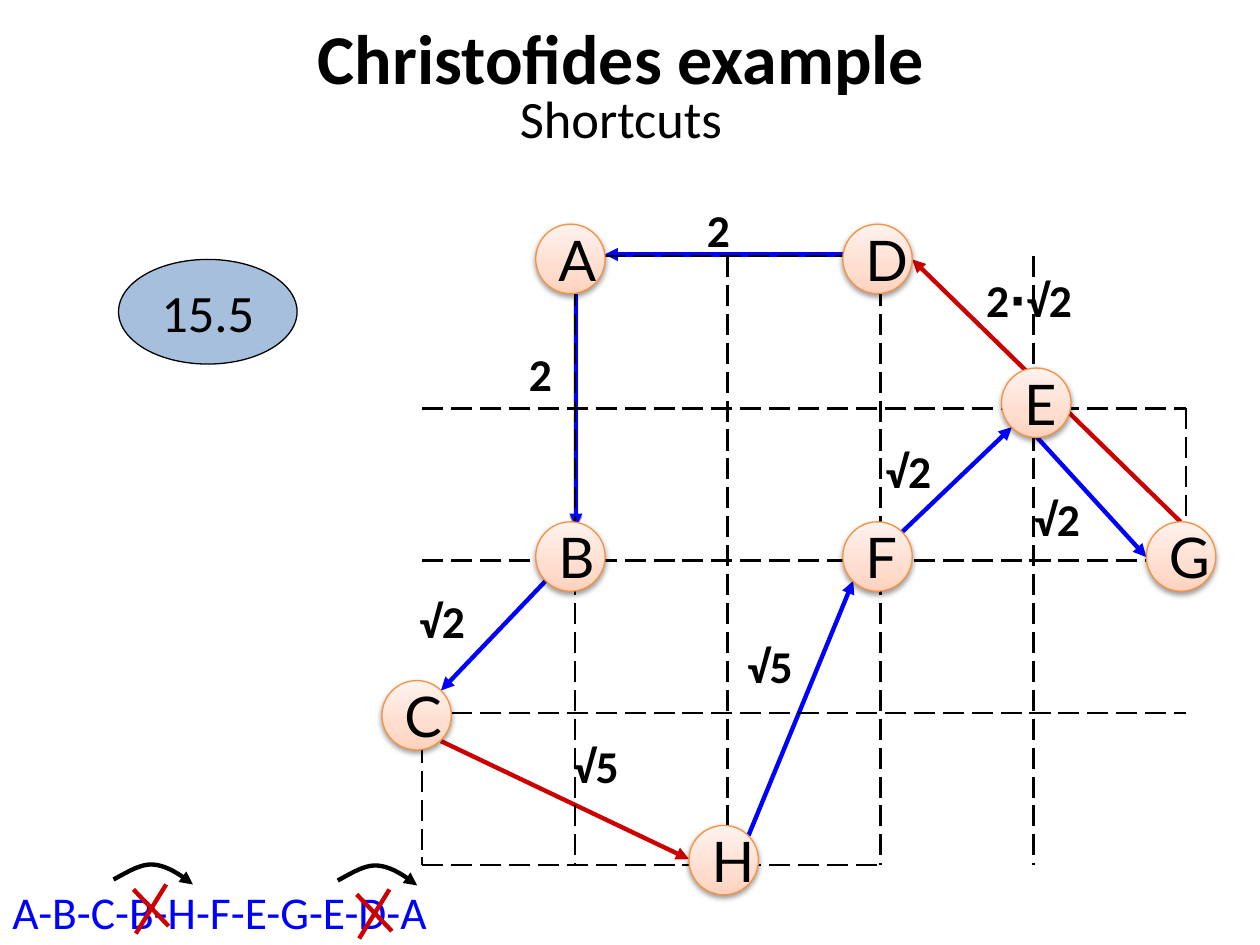
"""Build a slide showing the shortcut step of the Christofides algorithm."""
import copy
import dataclasses

import pptx
import pptx.dml.color
import pptx.enum.dml
import pptx.enum.shapes
import pptx.enum.text
import pptx.oxml
import pptx.oxml.ns
import pptx.util

Cm, Pt = pptx.util.Cm, pptx.util.Pt
RGB = pptx.dml.color.RGBColor.from_string
qn = pptx.oxml.ns.qn
NS = pptx.oxml.ns.nsdecls("a")
MSO_SHAPE = pptx.enum.shapes.MSO_SHAPE
PP_ALIGN = pptx.enum.text.PP_ALIGN
MSO_ANCHOR = pptx.enum.text.MSO_ANCHOR


@dataclasses.dataclass(frozen=True)
class Theme:
    ink: str = "000000"
    blue: str = "0000FF"
    red: str = "CC0000"
    badge: str = "4F81BD"
    node_line: str = "F69240"
    node_fill: tuple = ((0, "FFD2BD"), (0.35, "FFDED0"), (1, "FFF2ED"))
    font: str = "Calibri"
    node_font: str = "Lato"
    title: int = 40
    subtitle: int = 30
    node: int = 32
    label: int = 26


theme = Theme()
TAIL = f'<a:tailEnd {NS} type="triangle"/>'
SHADOW = (f'<a:outerShdw {NS} blurRad="%d" dist="20000" dir="5400000" rotWithShape="0">'
          '<a:srgbClr val="000000"><a:alpha val="38000"/></a:srgbClr></a:outerShdw>')

prs = pptx.Presentation()
prs.slide_width, prs.slide_height = Cm(25.4), Cm(19.05)
s = prs.slides.add_slide(prs.slide_layouts[6])


def add_line(start, end, color, width=2.5, dash=None, arrow=False):
    c = s.shapes.add_connector(pptx.enum.shapes.MSO_CONNECTOR.STRAIGHT,
                               *(Cm(v) for v in (*start, *end)))
    c.line.color.rgb = RGB(color)
    c.line.width = Pt(width)
    if dash:
        c.line.dash_style = dash
    if arrow:
        c.line._get_or_add_ln().append(pptx.oxml.parse_xml(TAIL))
    c._element.spPr.append(pptx.oxml.parse_xml(f"<a:effectLst {NS}/>"))
    return c


def add_label(text, x, y, w, color, bold):
    tf = s.shapes.add_textbox(Cm(x), Cm(y), Cm(w), Cm(1.35)).text_frame
    tf.word_wrap = False
    tf.auto_size = pptx.enum.text.MSO_AUTO_SIZE.SHAPE_TO_FIT_TEXT
    p = tf.paragraphs[0]
    p.text = text
    p.font.name, p.font.size, p.font.bold = theme.font, Pt(theme.label), bold
    p.font.color.rgb = RGB(color)


tour = [
    ((11.61, 5.92), (11.61, 10.62), theme.blue),
    ((11, 11.71), (8.89, 13.92), theme.blue),
    ((18.19, 10.72), (20.4, 8.61), theme.blue),
    ((20.9, 8.81), (23.11, 11.23), theme.blue),
    ((15.09, 16.84), (17.2, 11.71), theme.blue),
    ((8.89, 14.94), (13.89, 17.32), theme.red),
    ((23.8, 10.52), (18.39, 5.23), theme.red),
    ((16.99, 5.13), (12.19, 5.13), theme.blue),
]
edges = [add_line(*edge, arrow=True) for edge in tour]
edges[0]._element.spPr.find(qn("a:effectLst")).append(pptx.oxml.parse_xml(SHADOW % 0))

for text, x, y, w in [
    ("2", 10.41, 6.86, 1.09), ("√2", 8.2, 11.84, 1.6), ("√5", 11.3, 14.76, 1.6),
    ("√2", 20.6, 9.78, 1.6), ("√2", 17.6, 8.81, 1.6), ("√5", 14.81, 12.73, 1.6),
    ("2", 14, 3.94, 1.09), ("2∙√2", 19.63, 5.36, 2.46),
]:
    add_label(text, x, y, w, theme.ink, True)

badge = s.shapes.add_shape(MSO_SHAPE.OVAL, Cm(2.39), Cm(5.23), Cm(3.6), Cm(2.11))
badge.shadow.inherit = False
badge.fill.solid()
badge.fill.fore_color.rgb = RGB(theme.badge)
badge._element.spPr.find(".//" + qn("a:srgbClr")).append(
    pptx.oxml.parse_xml(f'<a:alpha {NS} val="50000"/>'))
badge.line.color.rgb = RGB(theme.ink)
badge.line.width = Pt(0.75)
badge.text_frame.word_wrap = False
badge.text_frame.vertical_anchor = MSO_ANCHOR.MIDDLE
p = badge.text_frame.paragraphs[0]
p.text = "15.5"
p.alignment = PP_ALIGN.CENTER
p.font.name, p.font.size = theme.font, Pt(theme.subtitle)
p.font.color.rgb = RGB(theme.ink)

tf = s.shapes.add_textbox(Cm(1.09), Cm(0.43), Cm(22.86), Cm(2.69)).text_frame
tf.word_wrap = True
tf.vertical_anchor = MSO_ANCHOR.BOTTOM
p = tf.paragraphs[0]
p.alignment = PP_ALIGN.CENTER
p.line_spacing = 0.8
p.font.name = theme.font
p.font.color.rgb = RGB(theme.ink)
r = p.add_run()
r.text = "Christofides example"
r.font.size, r.font.bold = Pt(theme.title), True
p.add_line_break()
r = p.add_run()
r.text = "Shortcuts"
r.font.size, r.font.bold = Pt(theme.subtitle), False
for r in p.runs:
    r.font.name = theme.font
    r.font.color.rgb = RGB(theme.ink)

add_label("A-B-C-B-H-F-E-G-E-D-A", 0, 17.7, 9.96, theme.blue, False)

curves = [((0, 0.33), (0.28, 0.18), (0.56, 0), (0.81, 0.03)),
          ((0.81, 0.03), (1.07, 0.05), (1.35, 0.23), (1.6, 0.43))]
steps = 10
arc = [tuple((1 - t) ** 3 * a + 3 * (1 - t) ** 2 * t * b + 3 * (1 - t) * t ** 2 * c + t ** 3 * d
             for a, b, c, d in zip(*curve))
       for curve in curves for t in (i / steps for i in range(1, steps + 1))]
for ax, ay, cx, cy in [(2.29, 17.4, 2.69, 17.83), (6.81, 17.42, 7.19, 17.93)]:
    builder = s.shapes.build_freeform(Cm(ax), Cm(ay + 0.33))
    builder.add_line_segments([(Cm(ax + x), Cm(ay + y)) for x, y in arc], close=False)
    hop = builder.convert_to_shape()
    hop.shadow.inherit = False
    hop.fill.background()
    hop.line.color.rgb = RGB(theme.ink)
    hop.line.width = Pt(2.5)
    hop.line._get_or_add_ln().append(pptx.oxml.parse_xml(TAIL))
    add_line((cx + 0.66, cy), (cx + 0.05, cy + 0.99), theme.red)
    add_line((cx, cy + 0.1), (cx + 0.71, cy + 0.84), theme.red)

grid = [((col, 0), (col, 4)) for col in range(1, 5)]
grid += [((0, row), (5, row)) for row in range(1, 4)]
grid += [((0, 3), (0, 4)), ((5, 1), (5, 2)), ((1, 0), (3, 0)), ((0, 4), (3, 4))]
for ends in grid:
    start, end = [(8.51 + 3.08 * col, 5.16 + 3.07 * row) for col, row in ends]
    add_line(start, end, theme.ink, 1.5, pptx.enum.dml.MSO_LINE.LONG_DASH)

for name, x, y in [
    ("A", 10.8, 4.52), ("D", 16.99, 4.52), ("E", 20.19, 7.42), ("G", 23.11, 10.52),
    ("F", 16.99, 10.52), ("H", 13.89, 16.64), ("C", 7.7, 13.72), ("B", 10.8, 10.52),
]:
    sp = s.shapes.add_shape(MSO_SHAPE.OVAL, Cm(x), Cm(y), Cm(1.4), Cm(1.4))
    sp.fill.gradient()
    sp.fill.gradient_angle = 90
    gs = sp._element.spPr.find(".//" + qn("a:gs"))
    gs.addnext(copy.deepcopy(gs))
    for stop, (position, color) in zip(sp.fill.gradient_stops, theme.node_fill):
        stop.position = position
        stop.color.rgb = RGB(color)
    sp.line.color.rgb = RGB(theme.node_line)
    sp.line.width = Pt(0.75)
    sp.shadow.inherit = False
    sp._element.spPr.find(qn("a:effectLst")).append(pptx.oxml.parse_xml(SHADOW % 40000))
    tf = sp.text_frame
    tf.word_wrap = True
    tf.vertical_anchor = MSO_ANCHOR.MIDDLE
    p = tf.paragraphs[0]
    p.text = name
    p.alignment = PP_ALIGN.CENTER
    p.font.name, p.font.size = theme.node_font, Pt(theme.node)
    p.font.color.rgb = RGB(theme.ink)

prs.save("out.pptx")
